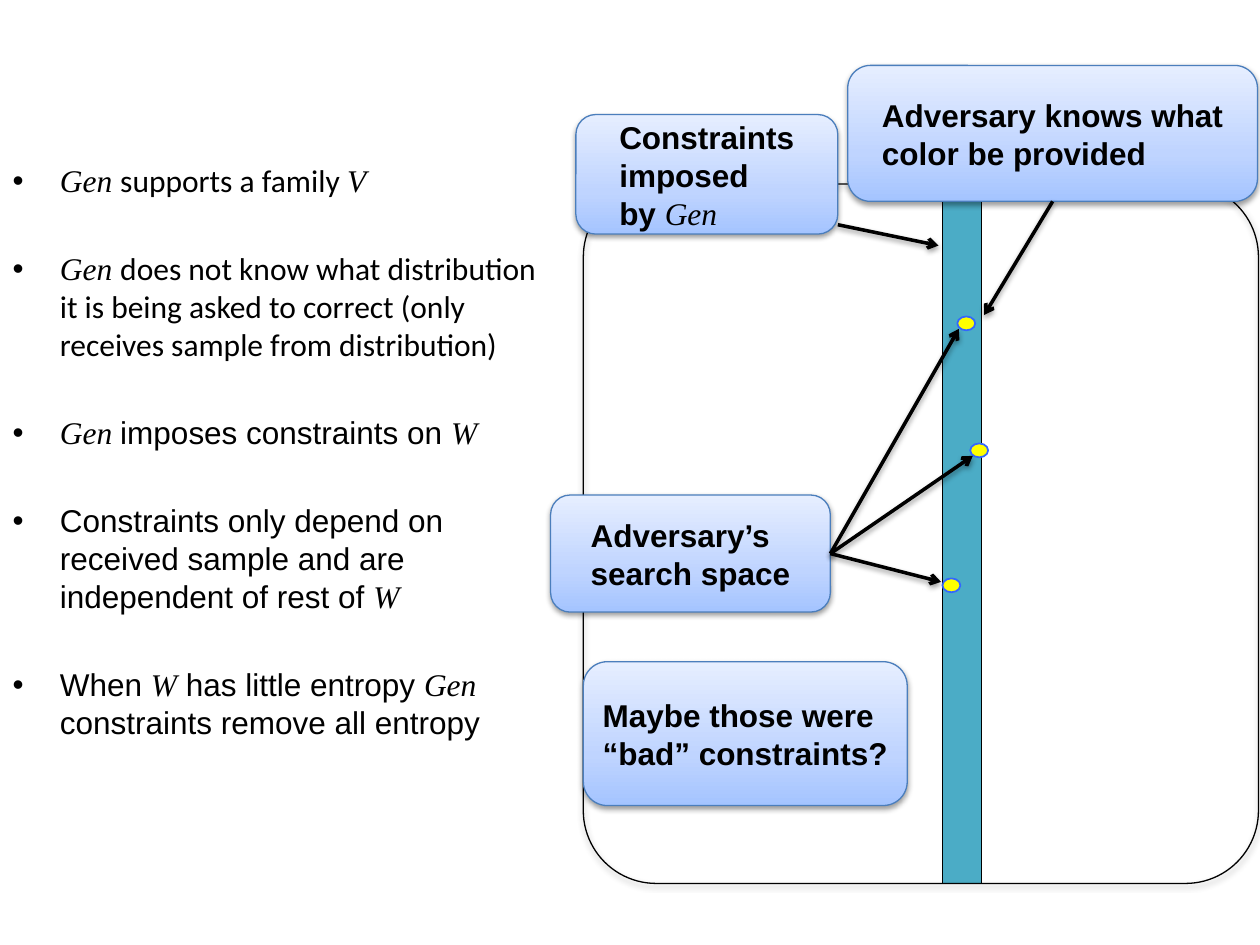
from copy import deepcopy

from lxml import etree
from pptx import Presentation
from pptx.dml.color import RGBColor
from pptx.enum import shapes as kinds, text as txt
from pptx.oxml import parse_xml
from pptx.oxml.ns import nsdecls, qn
from pptx.util import Cm, Pt

SERIF = "Times New Roman"
LINE_PITCH = Pt(21.7)


def paint(target, color):
    """Give a fill or a line's fill one solid colour."""
    target.solid()
    target.fore_color.rgb = RGBColor.from_string(color)


def add_text(paragraph, words, font="Arial", size=18, color="000000", bold=False, italic=False):
    run = paragraph.add_run()
    run.text = words
    run.font.name, run.font.size = font, Pt(size)
    run.font.bold, run.font.italic = bold, italic
    paint(run.font.fill, color)


prs = Presentation()
prs.slide_width, prs.slide_height = Cm(25.4), Cm(19.05)
slide = prs.slides.add_slide(prs.slide_layouts[1])
slide.shapes.title._element.getparent().remove(slide.shapes.title._element)
shadowed = []

# Bullet list; names in italic serif are the variables
bullets = [
    [("Gen ", SERIF), ("supports a family ", "Calibri"), ("V", SERIF)],
    [("Gen ", SERIF), ("does not know what distribution it is being asked to correct "
                       "(only receives sample from distribution)", "Calibri")],
    [("Gen ", SERIF), ("imposes constraints on ", "Arial"), ("W", SERIF)],
    [("Constraints only depend on received sample and are independent of rest of ", "Arial"),
     ("W", SERIF)],
    [("When ", "Arial"), ("W", SERIF), (" has little entropy ", "Arial"), ("Gen ", SERIF),
     ("constraints remove all entropy", "Arial")],
]
claims = slide.placeholders[1]
claims.left, claims.top, claims.width, claims.height = Cm(0), Cm(3.12), Cm(11.28), Cm(14.33)
claims.text_frame.auto_size = txt.MSO_AUTO_SIZE.NONE
for i, parts in enumerate(bullets):
    claim = claims.text_frame.paragraphs[0] if i == 0 else claims.text_frame.add_paragraph()
    claim.space_before = Pt(28.6 if i else 0)
    claim.line_spacing = LINE_PITCH
    for words, font in parts:
        add_text(claim, words, font=font, italic=font == SERIF)

# Constraint bar, sample points and the space around them
plain_shapes = [
    ("RECTANGLE", 19, 3.71, 0.79, 14.1, "4BACC6", "000000", 1),
    ("OVAL", 19, 11.66, 0.36, 0.28, "FFFF00", "3366FF", 1),
    ("OVAL", 19.56, 8.94, 0.36, 0.28, "FFFF00", "3366FF", 1),
    ("OVAL", 19.3, 6.38, 0.36, 0.28, "FFFF00", "3366FF", 1),
    ("ROUNDED_RECTANGLE", 11.76, 3.71, 13.61, 14.1, None, "000000", 0.75),
]
for kind, x, y, w, h, fill, edge, weight in plain_shapes:
    shape = slide.shapes.add_shape(kinds.MSO_SHAPE[kind], Cm(x), Cm(y), Cm(w), Cm(h))
    shape.shadow.inherit = False
    paint(shape.line.fill, edge)
    shape.line.width = Pt(weight)
    if fill:
        paint(shape.fill, fill)
    else:
        shape.fill.background()
        shape.adjustments[0] = 0.108
        shadowed.append(shape)

# Callouts
callouts = {}
for key, x, y, w, h, words in [
    ("doubt", 11.76, 13.34, 6.53, 2.9, "Maybe those were “bad” constraints?"),
    ("constraints", 11.61, 2.31, 5.28, 2.41, "Constraints imposed "),
    ("knowledge", 17.09, 1.32, 8.26, 2.74, "Adversary knows what color be provided"),
    ("search", 11.1, 9.98, 5.64, 2.36, "Adversary’s search space"),
]:
    callout = slide.shapes.add_shape(
        kinds.MSO_SHAPE.ROUNDED_RECTANGLE, Cm(x), Cm(y), Cm(w), Cm(h))
    callout.shadow.inherit = False
    callout.fill.gradient()
    callout.fill.gradient_angle = 90
    stops = callout.fill.gradient_stops
    stops[0]._gs.addnext(deepcopy(stops[0]._gs))
    for stop, (position, color) in zip(
            callout.fill.gradient_stops, [(0, "A4C4FF"), (0.35, "BFD4FF"), (1, "E6EEFF")]):
        stop.position = position
        stop.color.rgb = RGBColor.from_string(color)
    paint(callout.line.fill, "4B7EBC")
    callout.line.width = Pt(0.75)

    frame = callout.text_frame
    frame.word_wrap = True
    frame.vertical_anchor = txt.MSO_ANCHOR.MIDDLE
    frame.margin_left = frame.margin_right = frame.margin_top = frame.margin_bottom = Cm(0.13)
    frame._txBody.bodyPr.set("anchorCtr", "1")
    message = frame.paragraphs[0]
    message.alignment = txt.PP_ALIGN.LEFT
    message.line_spacing = LINE_PITCH
    add_text(message, words, bold=True)
    if key == "constraints":
        message.add_line_break()
        add_text(message, "by ", bold=True)
        add_text(message, "Gen", font=SERIF, italic=True)
    callouts[key] = callout
    shadowed.append(callout)

# Arrows from the callouts to the bar and its points
for key, site, start, end in [
    ("knowledge", 2, (21.22, 4.06), (19.84, 6.35)),
    ("constraints", None, (16.89, 4.53), (18.92, 4.95)),
    ("search", 3, (16.74, 11.16), (18.97, 11.73)),
    ("search", 3, (16.74, 11.16), (19.61, 9.19)),
    ("search", 3, (16.74, 11.16), (19.33, 6.63)),
]:
    arrow = slide.shapes.add_connector(
        kinds.MSO_CONNECTOR.STRAIGHT, *(Cm(v) for v in start + end))
    if site is not None:
        arrow.begin_connect(callouts[key], site)
    paint(arrow.line.fill, "000000")
    arrow.line.width = Pt(2)
    etree.SubElement(arrow.line._get_or_add_ln(), qn("a:tailEnd"), type="arrow")
    etree.SubElement(arrow._element.spPr, qn("a:effectLst"))
    shadowed.append(arrow)

for shape in shadowed:
    shape._element.spPr.find(qn("a:effectLst")).append(parse_xml(
        f'<a:outerShdw {nsdecls("a")} blurRad="40000" dist="20000" dir="5400000" rotWithShape="0">'
        '<a:srgbClr val="000000"><a:alpha val="38000"/></a:srgbClr></a:outerShdw>'))

prs.save("out.pptx")
